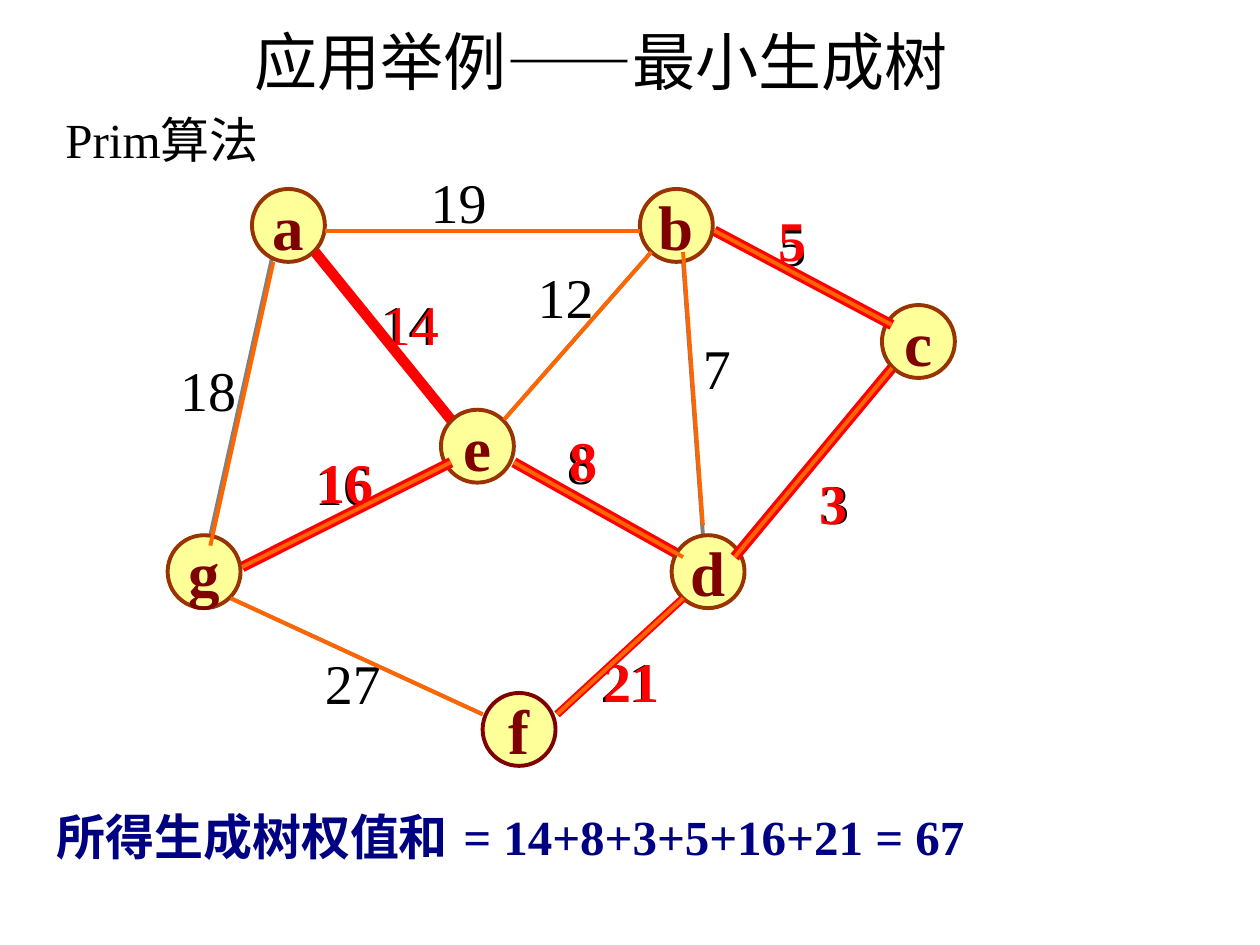
from lxml.etree import SubElement
from pptx import Presentation
from pptx.dml.color import RGBColor
from pptx.enum.shapes import MSO_CONNECTOR as CONN, MSO_SHAPE as SHAPE
from pptx.enum.text import MSO_ANCHOR as ANCHOR, MSO_AUTO_SIZE as AUTO, PP_ALIGN as ALIGN
from pptx.oxml.ns import qn
from pptx.util import Cm, Pt

BLACK = RGBColor(0x00, 0x00, 0x00)
GRAY = RGBColor(0x80, 0x80, 0x80)
RED = RGBColor(0xFF, 0x00, 0x00)
ORANGE = RGBColor(0xFF, 0x66, 0x00)
YELLOW = RGBColor(0xFF, 0xFF, 0x99)
BROWN = RGBColor(0x99, 0x33, 0x00)
MAROON = RGBColor(0x80, 0x00, 0x00)
NAVY = RGBColor(0x00, 0x00, 0x82)
SERIF, SANS = "Times New Roman", "Noto Sans CJK SC"

NODES = {"a": (2, 1.5), "b": (5.08, 1.5), "c": (7, 2.42), "d": (5.33, 4.25),
         "e": (3.5, 3.25), "f": (3.83, 5.5), "g": (1.33, 4.25)}
EDGES = {"ab": (2.58, 1.83, 5.08, 1.83), "ae": (2.5, 2, 3.58, 3.33),
         "be": (5.17, 2, 4, 3.33), "ag": (2.17, 2, 1.67, 4.25),
         "ge": (1.92, 4.5, 3.58, 3.67), "ed": (4.08, 3.67, 5.42, 4.42),
         "bc": (5.67, 1.83, 7.08, 2.58), "cd": (7.08, 2.92, 5.83, 4.42),
         "bd": (5.42, 2.08, 5.58, 4.25), "gf": (1.83, 4.75, 3.83, 5.67),
         "df": (5.42, 4.75, 4.42, 5.67)}
WEIGHTS = {"ab": ("19", 3.32, 1.28), "bc": ("5", 6.08, 1.62), "ae": ("14", 2.92, 2.25),
           "ag": ("18", 1.33, 2.77), "gf": ("27", 2.48, 5.1), "ge": ("16", 2.4, 3.52),
           "ed": ("8", 4.4, 3.35), "df": ("21", 4.67, 5.08), "cd": ("3", 6.42, 3.67),
           "be": ("12", 4.17, 2.03), "bd": ("7", 5.48, 2.6)}
TREE_STEPS = (("a", "ae"), ("e", "ed"), ("d", "cd"), ("c", "bc"), ("b", "ge"), ("g", "df"), ("f", None))
TREE_WEIGHTS = {"ae": (2.94, 2.25), "ed": (4.42, 3.33), "bc": (6.08, 1.58),
                "cd": (6.41, 3.67), "ge": (2.42, 3.5), "df": (4.69, 5.08)}
OVERLAY_SHIFT = {"ag": 0.08, "bd": -0.08}


def cm(*inches):
    """Convert lengths in inches to Cm."""
    return [Cm(round(v * 2.54, 2)) for v in inches]


class GraphSlide:
    """Holds the graph style and the current slide."""

    def __init__(self, prs):
        self.s = prs.slides.add_slide(prs.slide_layouts[5])
        self.shapes = self.s.shapes

    def run(self, p, text, size, color=BLACK, bold=False, font=SERIF):
        r = p.add_run()
        r.text = text
        r.font.size, r.font.bold, r.font.name = Pt(size), bold, font
        r.font.color.rgb = color
        SubElement(r.font._element, qn("a:ea"), typeface=SANS)
        return r

    def title(self, text, box):
        sp = self.s.shapes.title
        sp.left, sp.top, sp.width, sp.height = cm(*box)
        tf = sp.text_frame
        tf.auto_size, tf.vertical_anchor = AUTO.NONE, ANCHOR.TOP
        p = tf.paragraphs[0]
        p.alignment = ALIGN.LEFT
        r = self.run(p, text, 36, font=SANS)
        effects = SubElement(r.font._element, qn("a:effectLst"))
        r.font._element.find(qn("a:solidFill")).addnext(effects)
        shadow = SubElement(effects, qn("a:outerShdw"), dist="35921", dir="2700000")
        SubElement(shadow, qn("a:srgbClr"), val=str(GRAY))

    def text(self, box, runs, wrap=False):
        tf = self.shapes.add_textbox(*cm(*box)).text_frame
        tf.word_wrap, tf.auto_size = wrap, AUTO.SHAPE_TO_FIT_TEXT
        for run in runs:
            self.run(tf.paragraphs[0], *run)

    def weight(self, text, x, y, color=BLACK, bold=False):
        width = 0.65 if len(text) == 2 else 0.42
        self.text((x, y, width, 0.63), [(text, 32, color, bold)])

    def edge(self, name, color, width=2.25, dy=0):
        x1, y1, x2, y2 = EDGES[name]
        line = self.shapes.add_connector(CONN.STRAIGHT, *cm(x1, y1 + dy, x2, y2 + dy))
        line.line.color.rgb, line.line.width = color, Pt(width)
        SubElement(line._element.spPr, qn("a:effectLst"))

    def node(self, name):
        sp = self.shapes.add_shape(SHAPE.OVAL, *cm(*NODES[name], 0.58, 0.58))
        sp.shadow.inherit = False
        sp.fill.solid()
        sp.fill.fore_color.rgb = YELLOW
        sp.line.color.rgb = MAROON if name == "f" else BROWN
        sp.line.width = Pt(2.25)
        tf = sp.text_frame
        tf.word_wrap, tf.vertical_anchor = False, ANCHOR.MIDDLE
        p = tf.paragraphs[0]
        p.alignment = ALIGN.CENTER
        self.run(p, name, 36, MAROON, True)


def main():
    prs = Presentation()
    prs.slide_width, prs.slide_height = cm(10, 7.5)
    graph = GraphSlide(prs)
    graph.title("应用举例——最小生成树", (1.92, 0.13, 6.38, 0.7))

    graph.shapes = graph.s.shapes.add_group_shape().shapes
    for name in EDGES:
        graph.edge(name, GRAY)
    for weight in WEIGHTS.values():
        graph.weight(*weight)
    graph.shapes = graph.s.shapes

    for node, edge in TREE_STEPS:
        graph.node(node)
        if edge:
            graph.edge(edge, RED, 4.5 if edge == "df" else 6)
    for name, (x, y) in TREE_WEIGHTS.items():
        graph.weight(WEIGHTS[name][0], x, y, RED, name != "ae")

    graph.text((0.35, 6.35, 3.33, 0.57), [("所得生成树权值和", 28, NAVY, True)])
    graph.text((3.58, 6.35, 4.19, 0.57), [("= 14+8+3+5+16+21 = 67", 28, NAVY, True)])
    for name in EDGES:
        graph.edge(name, RED if name == "ae" else ORANGE, dy=OVERLAY_SHIFT.get(name, 0))
    graph.text((0.42, 0.82, 5.75, 0.57),
               [("Prim", 28), ("算法", 28, BLACK, False, SANS)], wrap=True)
    prs.save("out.pptx")


if __name__ == "__main__":
    main()
